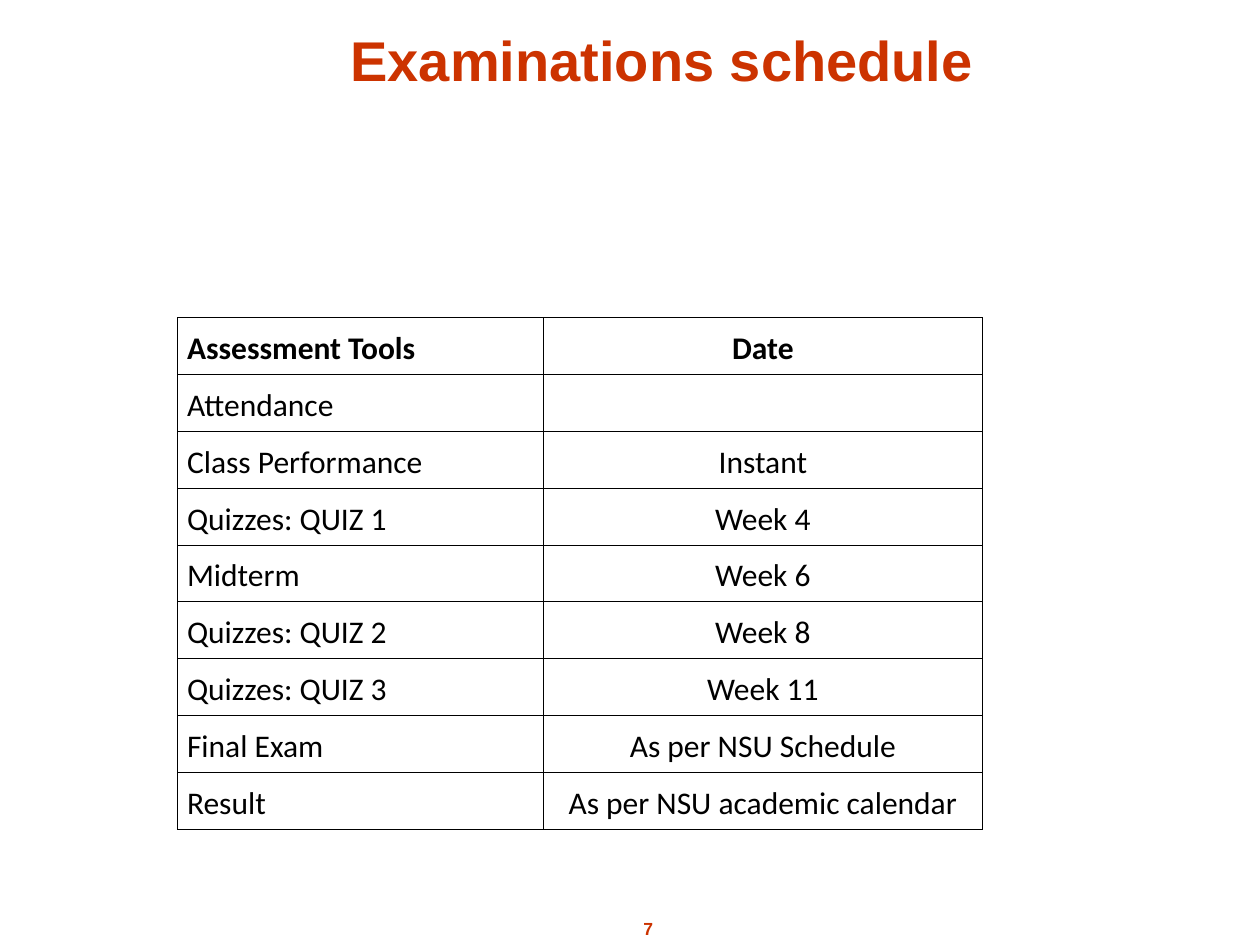
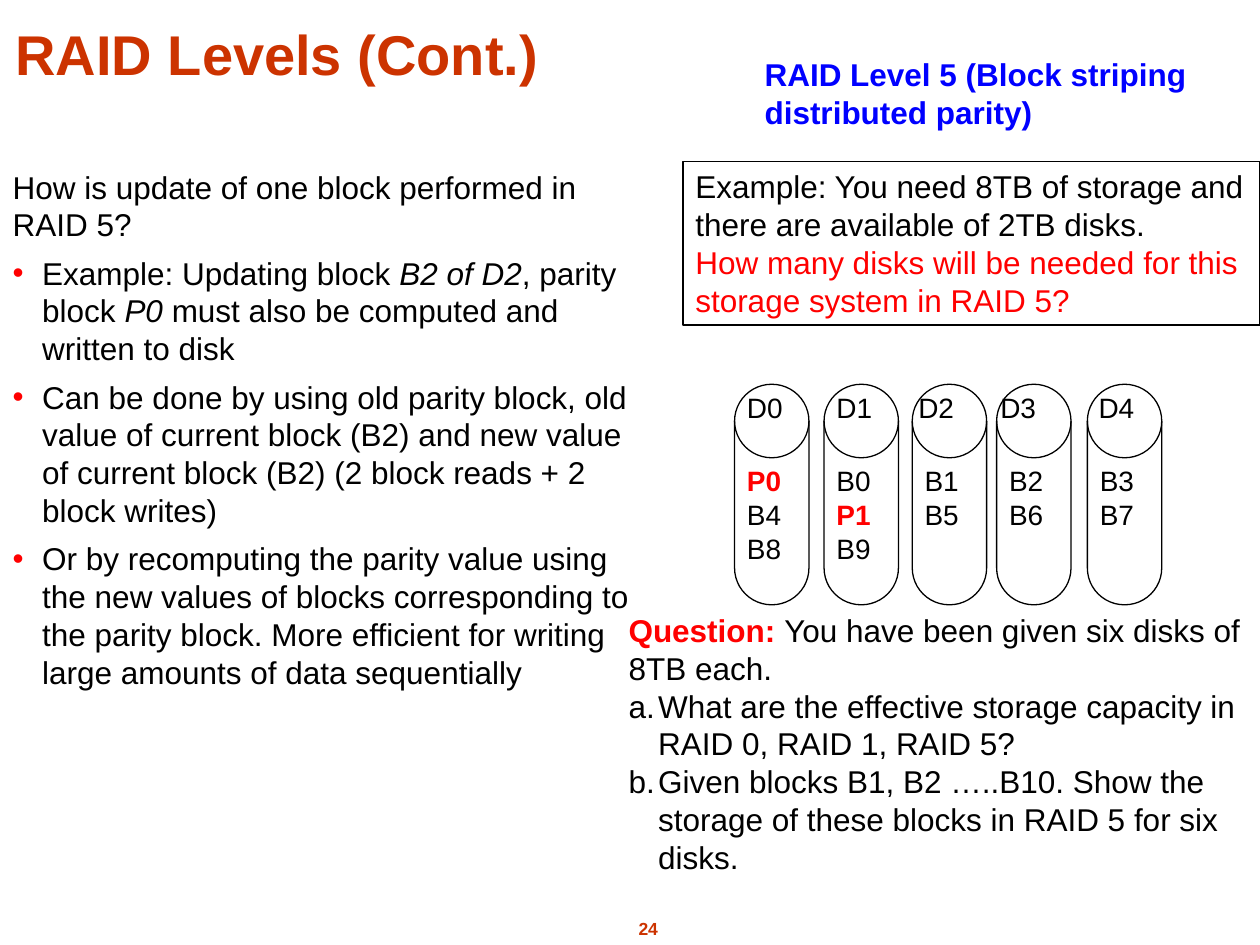
from lxml.etree import SubElement
from pptx import Presentation
from pptx.dml.color import RGBColor
from pptx.enum.shapes import MSO_SHAPE
from pptx.enum.text import MSO_ANCHOR, MSO_AUTO_SIZE, PP_ALIGN
from pptx.oxml import parse_xml
from pptx.oxml.ns import nsdecls, qn
from pptx.util import Inches, Pt

COLORS = {"accent": "CC3300", "text": "000000", "red": "FF0000",
          "blue": "0000FF", "paper": "FFFFFF"}
HANGING = Inches(0.235)


def write_text(frame, text, size=18, color="text", bold=False, font="Arial",
               align=PP_ALIGN.LEFT, spacing=1.0, before=0, bullet=None):
    """Add a paragraph; text is a string or a list of (string, format) runs."""
    paragraph = frame.paragraphs[0] if not frame.text else frame.add_paragraph()
    properties = paragraph._p.get_or_add_pPr()
    properties.set("marL", str(HANGING if bullet else 0))
    properties.set("indent", str(-HANGING if bullet else 0))
    if bullet == "number":
        SubElement(properties, qn("a:buAutoNum"), type="alphaLcPeriod")
    elif bullet:
        bullet_color = SubElement(properties, qn("a:buClr"))
        SubElement(bullet_color, qn("a:srgbClr"), val=COLORS["red"])
        SubElement(properties, qn("a:buFont"), typeface=font)
        SubElement(properties, qn("a:buChar"), char=bullet)
    else:
        SubElement(properties, qn("a:buNone"))
    paragraph.alignment = align
    paragraph.line_spacing = spacing
    paragraph.space_before = Pt(before)
    runs = [(text, {})] if isinstance(text, str) else text
    for words, style in runs:
        run = paragraph.add_run()
        run.text = words
        run.font.name = font
        run.font.size = Pt(size)
        run.font.bold = style.get("bold", bold)
        run.font.italic = style.get("italic", False)
        run.font.color.rgb = RGBColor.from_string(COLORS[style.get("color", color)])


def place_frame(shape, left, top, width, height, anchor=MSO_ANCHOR.TOP):
    """Move a text shape and return its wrapped text frame."""
    shape.left, shape.top = Inches(left), Inches(top)
    shape.width, shape.height = Inches(width), Inches(height)
    frame = shape.text_frame
    frame.word_wrap = True
    frame.auto_size = MSO_AUTO_SIZE.NONE
    frame.vertical_anchor = anchor
    return frame


presentation = Presentation()
presentation.slide_width, presentation.slide_height = Inches(10), Inches(7.5)

# Slides with their shared title style and page number
slides = []
for layout, title, box, number in [
    (5, "Examinations schedule", (0.84, 0.12, 8.83, 0.67), "7"),
    (1, "RAID Levels (Cont.)", (-0.14, 0.07, 4.68, 0.67), "24"),
]:
    slide = presentation.slides.add_slide(presentation.slide_layouts[layout])
    frame = place_frame(slide.shapes.title, *box, anchor=MSO_ANCHOR.BOTTOM)
    write_text(frame, title, size=32, color="accent", bold=True, align=PP_ALIGN.CENTER)
    frame = place_frame(slide.shapes.add_textbox(0, 0, 0, 0), 4.71, 7.24, 0.87, 0.27)
    write_text(frame, number, size=10, color="accent", bold=True, align=PP_ALIGN.CENTER)
    slides.append(slide)
schedule_slide, raid_slide = slides

# Examination table
schedule = [
    ("Assessment Tools", "Date"),
    ("Attendance", ""),
    ("Class Performance", "Instant"),
    ("Quizzes: QUIZ 1", "Week 4"),
    ("Midterm", "Week 6"),
    ("Quizzes: QUIZ 2", "Week 8"),
    ("Quizzes: QUIZ 3", "Week 11"),
    ("Final Exam", "As per NSU Schedule"),
    ("Result", "As per NSU academic calendar"),
]
table = schedule_slide.shapes.add_table(
    len(schedule), 2, Inches(1.41), Inches(2.52), Inches(6.39), Inches(3.61)).table
table.first_row = table.horz_banding = False
for column, width in zip(table.columns, (2.9, 3.49)):
    column.width = Inches(width)
for row_index, row in enumerate(schedule):
    for column_index, text in enumerate(row):
        cell = table.cell(row_index, column_index)
        cell.margin_left = cell.margin_right = Inches(0.075)
        cell.margin_top = cell.margin_bottom = Inches(0.05)
        cell.fill.background()
        for position, side in enumerate(("lnL", "lnR", "lnT", "lnB")):
            cell._tc.get_or_add_tcPr().insert(position, parse_xml(
                f'<a:{side} {nsdecls("a")} w="{Pt(0.45)}"><a:solidFill>'
                f'<a:srgbClr val="{COLORS["text"]}"/></a:solidFill></a:{side}>'))
        if text:
            write_text(cell.text_frame, text, font="Calibri", bold=row_index == 0,
                       align=PP_ALIGN.CENTER if column_index else PP_ALIGN.LEFT,
                       spacing=1.15)

# Block update list
frame = place_frame(raid_slide.placeholders[1], 0, 1.28, 5.11, 4.63)
write_text(frame, "How is update of one block performed in RAID 5?")
italic = {"italic": True}
for text in [
    [("Example: Updating block ", {}), ("B2 of D2", italic), (", parity block ", {}),
     ("P0 ", italic), ("must also be computed and written to disk", {})],
    "Can be done by using old parity block, old value of current block (B2) and "
    "new value of current block (B2) (2 block reads + 2 block writes)",
    "Or by recomputing the parity value using the new values of blocks "
    "corresponding to the parity block. More efficient for writing large amounts "
    "of data sequentially",
]:
    write_text(frame, text, bullet="•", before=6)

# Framed storage example
example = raid_slide.shapes.add_shape(MSO_SHAPE.RECTANGLE, 0, 0, 0, 0)
example.shadow.inherit = False
example.fill.background()
example.line.color.rgb = RGBColor.from_string(COLORS["text"])
example.line.width = Pt(0.75)
frame = place_frame(example, 5.42, 1.28, 4.58, 1.3)
write_text(frame, "Example: You need 8TB of storage and there are available of 2TB disks.")
write_text(frame, "How many disks will be needed for this storage system in RAID 5?",
           color="red")

# RAID level heading
frame = place_frame(raid_slide.shapes.add_textbox(0, 0, 0, 0), 5.97, 0.39, 4.03, 0.7)
write_text(frame, "RAID Level 5 (Block striping distributed parity)",
           color="blue", bold=True)

# Question
frame = place_frame(raid_slide.shapes.add_textbox(0, 0, 0, 0), 4.89, 4.8, 5.11, 2.5)
write_text(frame, [("Question: ", {"color": "red", "bold": True}),
                   ("You have been given six disks of 8TB each.", {})])
for text in [
    "What are the effective storage capacity in RAID 0, RAID 1, RAID 5?",
    "Given blocks B1, B2 …..B10. Show the storage of these blocks in RAID 5 for six disks.",
]:
    write_text(frame, text, bullet="number")

# Disks with their blocks and labels; parity blocks stand out
disks = [
    (5.83, 5.83, ("P0", "B4", "B8")),
    (6.54, 6.54, ("B0", "P1", "B9")),
    (7.24, 7.19, ("B1", "B5")),
    (7.91, 7.84, ("B2", "B6")),
    (8.63, 8.62, ("B3", "B7")),
]
for index, (disk_left, label_left, blocks) in enumerate(disks):
    disk = raid_slide.shapes.add_shape(MSO_SHAPE.FLOWCHART_MAGNETIC_DISK, 0, 0, 0, 0)
    disk.shadow.inherit = False
    disk.fill.solid()
    disk.fill.fore_color.rgb = RGBColor.from_string(COLORS["paper"])
    disk.line.color.rgb = RGBColor.from_string(COLORS["text"])
    disk.line.width = Pt(0.75)
    frame = place_frame(disk, disk_left, 3.05, 0.59, 1.75)
    for block in blocks:
        parity = block.startswith("P")
        write_text(frame, block, size=16, color="red" if parity else "text", bold=parity)
    label = raid_slide.shapes.add_textbox(0, 0, 0, 0)
    write_text(place_frame(label, label_left, 3.05, 0.59, 0.37), f"D{index}", size=16)

presentation.save("out.pptx")
